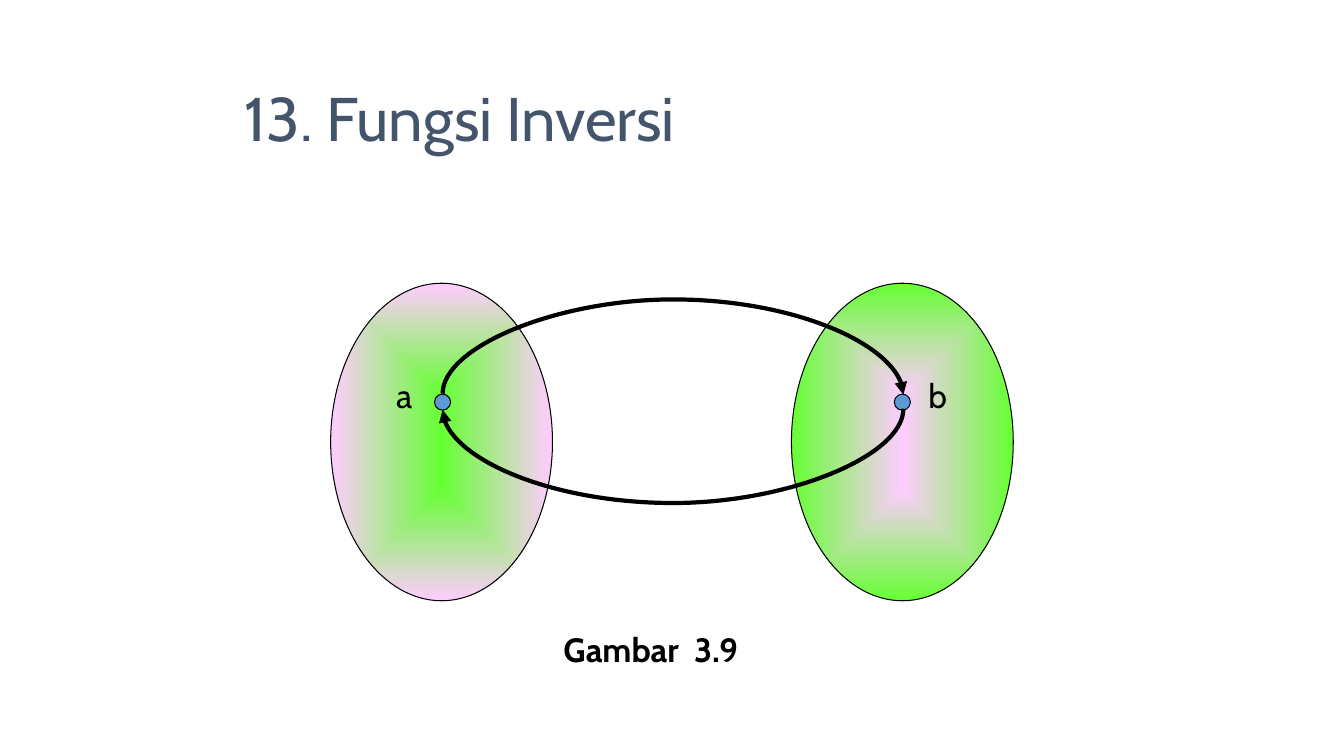
from lxml import etree
from pptx import Presentation
from pptx.dml.color import RGBColor
from pptx.enum.shapes import MSO_CONNECTOR, MSO_SHAPE
from pptx.enum.text import MSO_ANCHOR, MSO_AUTO_SIZE
from pptx.oxml.ns import qn
from pptx.util import Inches, Pt

OVAL = MSO_SHAPE.OVAL
CURVE = MSO_CONNECTOR.CURVE
TOP, BOTTOM = MSO_ANCHOR.TOP, MSO_ANCHOR.BOTTOM
FIT, FIXED = MSO_AUTO_SIZE.SHAPE_TO_FIT_TEXT, MSO_AUTO_SIZE.NONE
BLACK = RGBColor(0, 0, 0)
SLATE = RGBColor(0x44, 0x54, 0x6A)
GREEN = RGBColor(0x66, 0xFF, 0x33)
PINK = RGBColor(0xFF, 0xCC, 0xFF)
BLUE = RGBColor(0x5B, 0x9B, 0xD5)

deck = Presentation()
deck.slide_width, deck.slide_height = Inches(13.33), Inches(7.5)
slide = deck.slides.add_slide(deck.slide_layouts[6])


def add_oval(left, top, width, height):
    oval = slide.shapes.add_shape(
        OVAL, Inches(left), Inches(top), Inches(width), Inches(height))
    oval.shadow.inherit = False
    oval.line.color.rgb = BLACK
    oval.line.width = Pt(0.75)
    return oval


# The two sets, shaded from the centre outwards
for left, inner, outer in [(3.28, GREEN, PINK), (7.85, PINK, GREEN)]:
    fill = add_oval(left, 2.81, 2.2, 3.15).fill
    fill.gradient()
    for stop, color in zip(fill.gradient_stops, (inner, outer)):
        stop.color.rgb = color
        stop.color.brightness = 0
    grad = slide.shapes[-1]._element.spPr.find(qn("a:gradFill"))
    grad.remove(grad.find(qn("a:lin")))
    shade = etree.SubElement(grad, qn("a:path"), path="shape")
    etree.SubElement(shade, qn("a:fillToRect"),
                     l="50000", t="50000", r="50000", b="50000")

# The points b and a
for left in (8.87, 4.31):
    dot = add_oval(left, 3.91, 0.16, 0.16)
    dot.fill.solid()
    dot.fill.fore_color.rgb = BLUE

# Arrows a to b and back: thin upright frames turned by 90 degrees
MID, HALF, THIN, RISE = 6.67, 2.285, 0.01, 0.95
for level, way in [(3.91, -1), (4.06, 1)]:
    arrow = slide.shapes.add_connector(
        CURVE, Inches(MID), Inches(level - way * HALF),
        Inches(MID + THIN), Inches(level + way * HALF))
    arrow.line.color.rgb = BLACK
    arrow.line.width = Pt(3)
    props = arrow._element.spPr
    props.find(qn("a:xfrm")).set("rot", "5400000")
    bend = props.find(qn("a:prstGeom")).find(qn("a:avLst"))
    etree.SubElement(bend, qn("a:gd"), name="adj1",
                     fmla=f"val {round(way * RISE / THIN * 100000)}")
    etree.SubElement(props.find(qn("a:ln")), qn("a:tailEnd"), type="triangle")
    etree.SubElement(props, qn("a:effectLst"))

# Labels, title and caption
for text, left, top, width, height, size, color, bold, wrap, anchor, fit in [
    ("a", 3.83, 3.67, 0.38, 0.5, 24, BLACK, False, False, TOP, FIT),
    ("b", 9.11, 3.67, 0.39, 0.5, 24, BLACK, False, False, TOP, FIT),
    ("13. Fungsi Inversi", 2.33, 0.68, 5.2, 0.9, 44, SLATE, False, True,
     BOTTOM, FIXED),
    ("Gambar  3.9", 5.49, 6.19, 2.24, 0.5, 24, BLACK, True, False, TOP, FIT),
]:
    box = slide.shapes.add_textbox(
        Inches(left), Inches(top), Inches(width), Inches(height))
    frame = box.text_frame
    frame.text = text
    frame.word_wrap = wrap
    frame.auto_size = fit
    frame.vertical_anchor = anchor
    font = frame.paragraphs[0].runs[0].font
    font.name, font.size, font.bold = "Cabin", Pt(size), bold
    font.color.rgb = color

deck.save("out.pptx")
